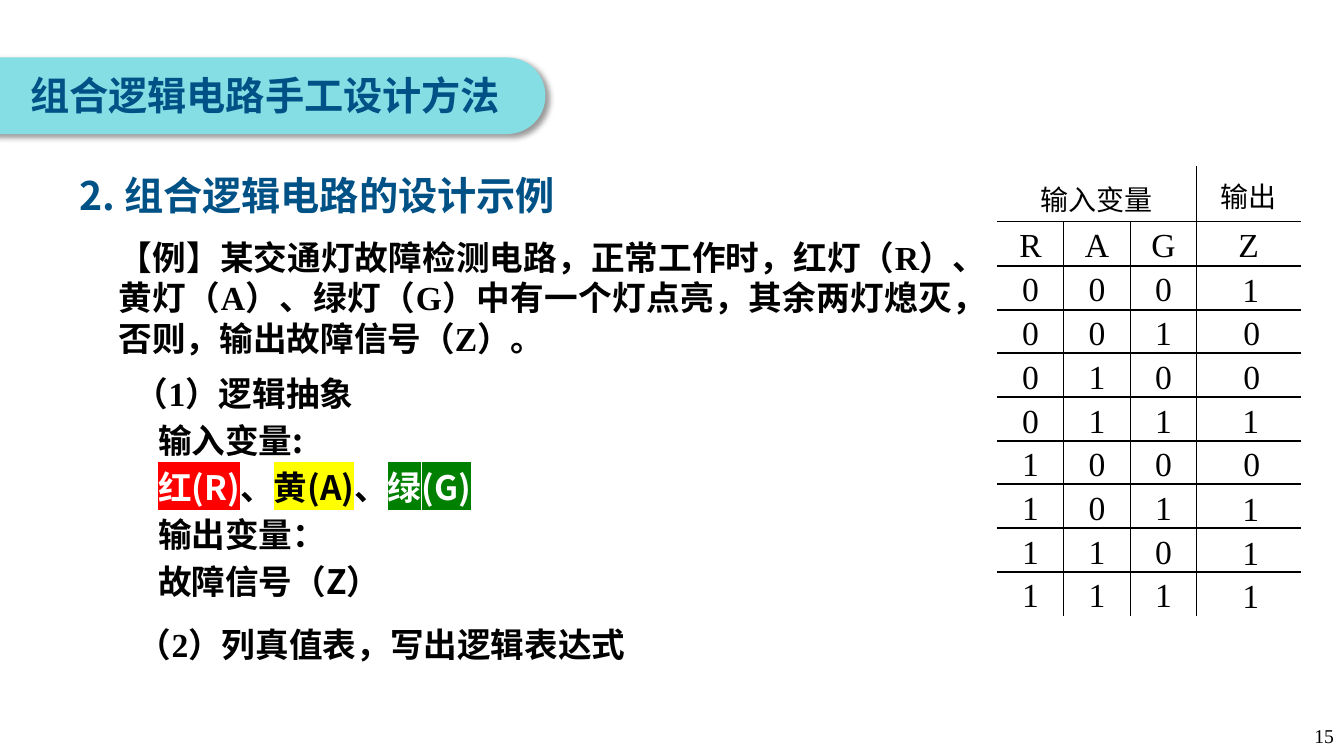
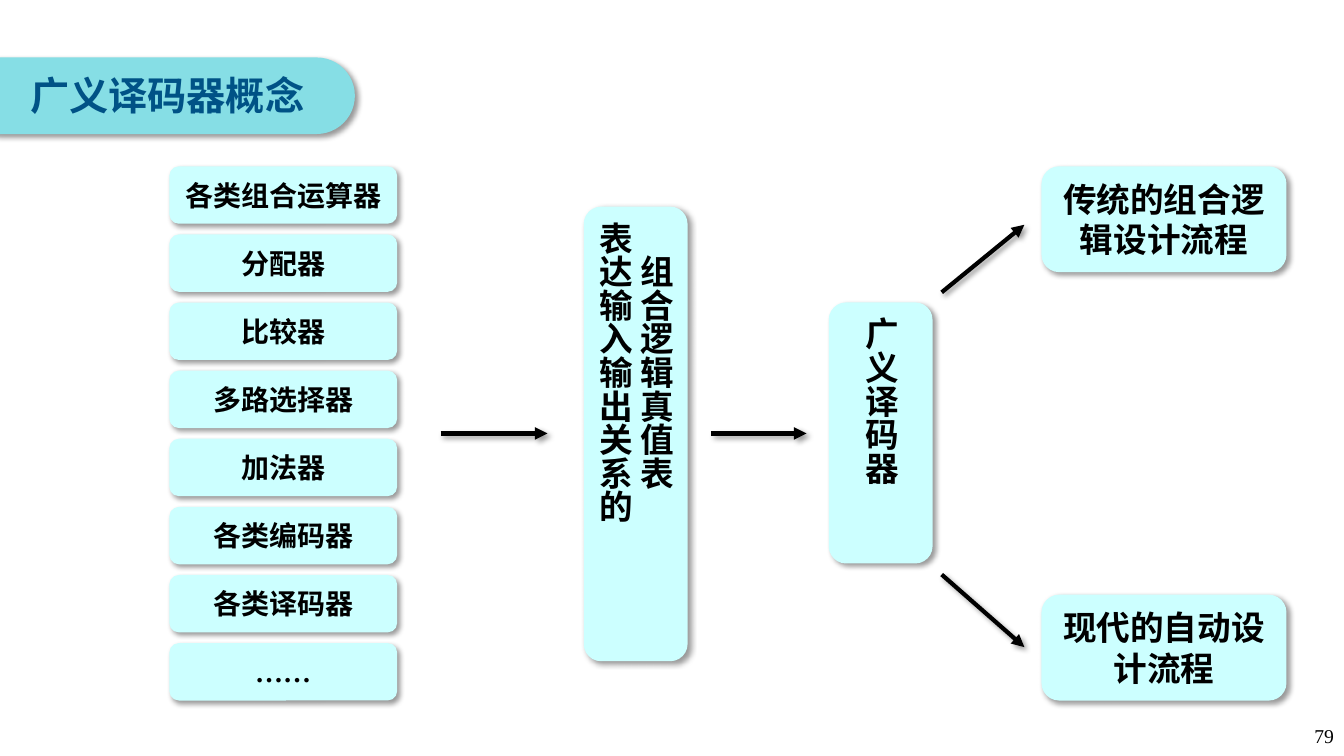
from itertools import product

from lxml import etree
from pptx import Presentation
from pptx.dml.color import RGBColor
from pptx.enum.shapes import MSO_CONNECTOR, MSO_SHAPE
from pptx.enum.text import MSO_ANCHOR, MSO_AUTO_SIZE, PP_ALIGN
from pptx.oxml import parse_xml
from pptx.oxml.ns import nsdecls, qn
from pptx.util import Inches, Pt

LEFT, CENTER, RIGHT, JUSTIFY = PP_ALIGN.LEFT, PP_ALIGN.CENTER, PP_ALIGN.RIGHT, PP_ALIGN.JUSTIFY
TOP, MIDDLE = MSO_ANCHOR.TOP, MSO_ANCHOR.MIDDLE
ROUNDED = MSO_SHAPE.ROUNDED_RECTANGLE
STRAIGHT = MSO_CONNECTOR.STRAIGHT

SANS, SERIF = "Noto Sans CJK SC", "Times New Roman"
BLACK, WHITE, NAVY = "000000", "FFFFFF", "005286"
BAND, PALE = "86DEE5", "CCFFFF"
rgb = RGBColor.from_string


def write(frame, lines, size=24, latin=SERIF, color=BLACK, bold=True, align=LEFT, anchor=TOP):
    """Fill a text frame; a line is a string or a list of run texts."""
    frame.word_wrap = True
    frame.auto_size = MSO_AUTO_SIZE.NONE
    frame.vertical_anchor = anchor
    for index, line in enumerate(lines):
        para = frame.add_paragraph() if index else frame.paragraphs[0]
        para.alignment = align
        para.line_spacing = Pt(size * 1.2)
        for piece in [line] if isinstance(line, str) else line:
            span = para.add_run()
            span.text = piece
            span.font.size = Pt(size)
            span.font.bold = bold
            span.font.color.rgb = rgb(color)
            span.font.name = latin
            latin_tag = span.font._element.find(qn("a:latin"))
            latin_tag.addnext(parse_xml(f'<a:ea {nsdecls("a")} typeface="{SANS}"/>'))


def add_shadow(shape):
    properties = shape._element.spPr
    effects = properties.find(qn("a:effectLst"))
    if effects is None:
        effects = etree.SubElement(properties, qn("a:effectLst"))
    effects.append(parse_xml(
        f'<a:outerShdw {nsdecls("a")} blurRad="50800" dist="38100" dir="2700000" algn="tl" '
        'rotWithShape="0"><a:srgbClr val="000000"><a:alpha val="40000"/></a:srgbClr></a:outerShdw>'))


deck = Presentation()
deck.slide_width, deck.slide_height = Inches(13.33), Inches(7.5)

# Title bands and page numbers
pages = []
for title_text, number, band_right in [
    ("组合逻辑电路手工设计方法", "15", 5.41),
    ("广义译码器概念", "79", 3.52),
]:
    page = deck.slides.add_slide(deck.slide_layouts[5])
    band = page.shapes.add_shape(
        ROUNDED, Inches(-0.38), Inches(0.57), Inches(band_right + 0.38), Inches(0.76))
    band.adjustments[0] = 0.5
    band.fill.solid()
    band.fill.fore_color.rgb = rgb(BAND)
    band.line.fill.background()
    band.shadow.inherit = False
    add_shadow(band)

    title = page.shapes.title
    title.left, title.top = Inches(0.2), Inches(0.66)
    title.width, title.height = Inches(band_right * 1.54), Inches(0.57)
    write(title.text_frame, [title_text], 28, SANS, NAVY)
    band._element.addnext(title._element)

    number_box = page.shapes.add_textbox(Inches(10.33), Inches(7.1), Inches(3), Inches(0.4))
    write(number_box.text_frame, [number], 14, bold=False, align=RIGHT, anchor=MIDDLE)
    pages.append(page)
example_page, decoder_page = pages

# Worked example: text
example_frames = []
for left, top, width, height, lines, options in [
    (0.69, 1.65, 7.42, 0.57, ["2. 组合逻辑电路的设计示例"],
     {"size": 28, "latin": SANS, "color": NAVY}),
    (1.08, 2.3, 8.47, 1.31,
     ["【例】某交通灯故障检测电路，正常工作时，红灯（R）、黄灯（A）、绿灯（G）中有一个灯点亮，"
      "其余两灯熄灭，否则，输出故障信号（Z）。"], {"align": JUSTIFY}),
    (1.27, 6.14, 5.42, 0.5, ["（2）列真值表，写出逻辑表达式"], {}),
    (1.24, 3.65, 5.57, 2.51,
     [["（", "1", "）逻辑抽象"], "输入变量:", ["红(R)", "、", "黄(A)", "、", "绿(G)"],
      "输出变量：", "故障信号（Z）"], {"latin": SANS}),
]:
    box = example_page.shapes.add_textbox(Inches(left), Inches(top), Inches(width), Inches(height))
    write(box.text_frame, lines, **options)
    example_frames.append(box.text_frame)

heading, *variables = example_frames[-1].paragraphs
heading.runs[1].font.name = SERIF
for para in variables:
    para.space_before = Pt(4.8)
    para._p.get_or_add_pPr().set("marL", str(Inches(0.23)))
lamps = variables[1].runs[::2]
for span, text_color, highlight in zip(
        lamps, [WHITE, BLACK, WHITE], ["FF0000", "FFFF00", "008000"]):
    span.font.color.rgb = rgb(text_color)
    span.font._element.find(qn("a:solidFill")).addnext(parse_xml(
        f'<a:highlight {nsdecls("a")}><a:srgbClr val="{highlight}"/></a:highlight>'))

# Worked example: the truth table in layers (frame, inputs, Z = 0, Z = 1);
# Z reports any state but one lamp lit
states = list(product((0, 1), repeat=3))
blank = [""] * 3
faults = [int(sum(lit) != 1) for lit in states]
frame_rows = [["输入变量", "", "", "输出"], ["R", "A", "G", "Z"]] + [[""] * 4 for _ in states]
input_rows = [[*lit, ""] for lit in states]
zero_rows, one_rows = [
    [blank + [fault if fault == shown else ""] for fault in faults] for shown in (0, 1)]

no_rules = [0] * 9
for left, top, height, rows, row_rules in [
    (9.89, 1.65, 4.45, frame_rows, [0, 1] + [0.5] * 8 + [0]),
    (9.89, 2.64, 3.47, input_rows, [0.5] * 8 + [0]),
    (9.92, 2.64, 3.47, zero_rows, no_rules),
    (9.91, 2.65, 3.47, one_rows, no_rules),
]:
    has_header = rows is frame_rows
    table = example_page.shapes.add_table(
        len(rows), 4, Inches(left), Inches(top), Inches(3), Inches(height)).table
    table.first_row = table.horz_banding = False
    for column, width in zip(table.columns, [0.66, 0.66, 0.66, 1.03]):
        column.width = Inches(width)
    if has_header:
        table.cell(0, 0).merge(table.cell(0, 2))
        for index, row in enumerate(table.rows):
            row.height = Inches(3.9 / 9 if index else 0.55)

    for r, values in enumerate(rows):
        in_header = has_header and r == 0
        column_rules = [0, 0, 0, 1, 0] if in_header else [0, 0.5, 0.5, 1, 0]
        if row_rules is no_rules:
            column_rules = [0] * 5
        for c, value in enumerate(values):
            cell = table.cell(r, c)
            cell.fill.background()
            cell.margin_left = cell.margin_right = Inches(0.02)
            cell.margin_top = Inches(0.02)
            cell.margin_bottom = 0
            if in_header:
                cell.margin_top = Inches(0.16 if cell.is_merge_origin else 0.1)
            if value != "":
                write(cell.text_frame, [str(value)], 20 if in_header else 24,
                      bold=False, align=CENTER)
            cell.vertical_anchor = MIDDLE
            right_rule = column_rules[3 if cell.is_merge_origin else c + 1]
            sides = {"L": column_rules[c], "R": right_rule,
                     "T": row_rules[r], "B": row_rules[r + 1]}
            for position, (side, weight) in enumerate(sides.items()):
                paint = (f'<a:solidFill><a:srgbClr val="{BLACK}"/></a:solidFill>'
                         if weight else "<a:noFill/>")
                cell._tc.get_or_add_tcPr().insert(position, parse_xml(
                    f'<a:ln{side} {nsdecls("a")} w="{Pt(weight)}">{paint}</a:ln{side}>'))

# Decoder concept: boxes as left, top, width, height, lines, size, vertical
components = ["各类组合运算器", "分配器", "比较器", "多路选择器", "加法器",
              "各类编码器", "各类译码器", "……"]
boxes = [(1.68, 1.65 + 4.73 / 7 * index, 2.26, 0.57, [name], 20, False)
         for index, name in enumerate(components)]
boxes += [
    (5.79, 2.05, 1.03, 4.51, ["组合逻辑真值表", "表达输入输出关系的"], 24, True),
    (8.22, 3, 1.03, 2.59, ["广义译码器"], 24, True),
    (10.33, 1.65, 2.43, 1.05, ["传统的组合逻辑设计流程"], 24, False),
    (10.33, 5.9, 2.43, 1.05, ["现代的自动设计流程"], 24, False),
]
for left, top, width, height, lines, size, vertical in boxes:
    box = decoder_page.shapes.add_shape(
        ROUNDED, Inches(left), Inches(top), Inches(width), Inches(height))
    box.fill.solid()
    box.fill.fore_color.rgb = rgb(PALE)
    box.line.fill.background()
    box.shadow.inherit = False
    add_shadow(box)
    write(box.text_frame, lines, size, align=LEFT if vertical else CENTER, anchor=MIDDLE)
    if vertical:
        box.text_frame._txBody.bodyPr.set("vert", "eaVert")
        longest = max(map(len, lines))
        for para in box.text_frame.paragraphs:
            indent = Pt(size * (longest - len(para.text)) / 2)
            para._p.get_or_add_pPr().set("marL", str(indent))

# Decoder concept: arrows
for x1, y1, x2, y2 in [
    (4.37, 4.3, 5.43, 4.3),
    (7.05, 4.3, 8, 4.3),
    (9.34, 2.9, 10.16, 2.23),
    (9.34, 5.7, 10.16, 6.42),
]:
    arrow = decoder_page.shapes.add_connector(
        STRAIGHT, Inches(x1), Inches(y1), Inches(x2), Inches(y2))
    arrow.line.color.rgb = rgb(BLACK)
    arrow.line.width = Pt(3)
    outline = arrow._element.spPr.find(qn("a:ln"))
    etree.SubElement(outline, qn("a:tailEnd"), type="triangle")
    add_shadow(arrow)

deck.save("out.pptx")
